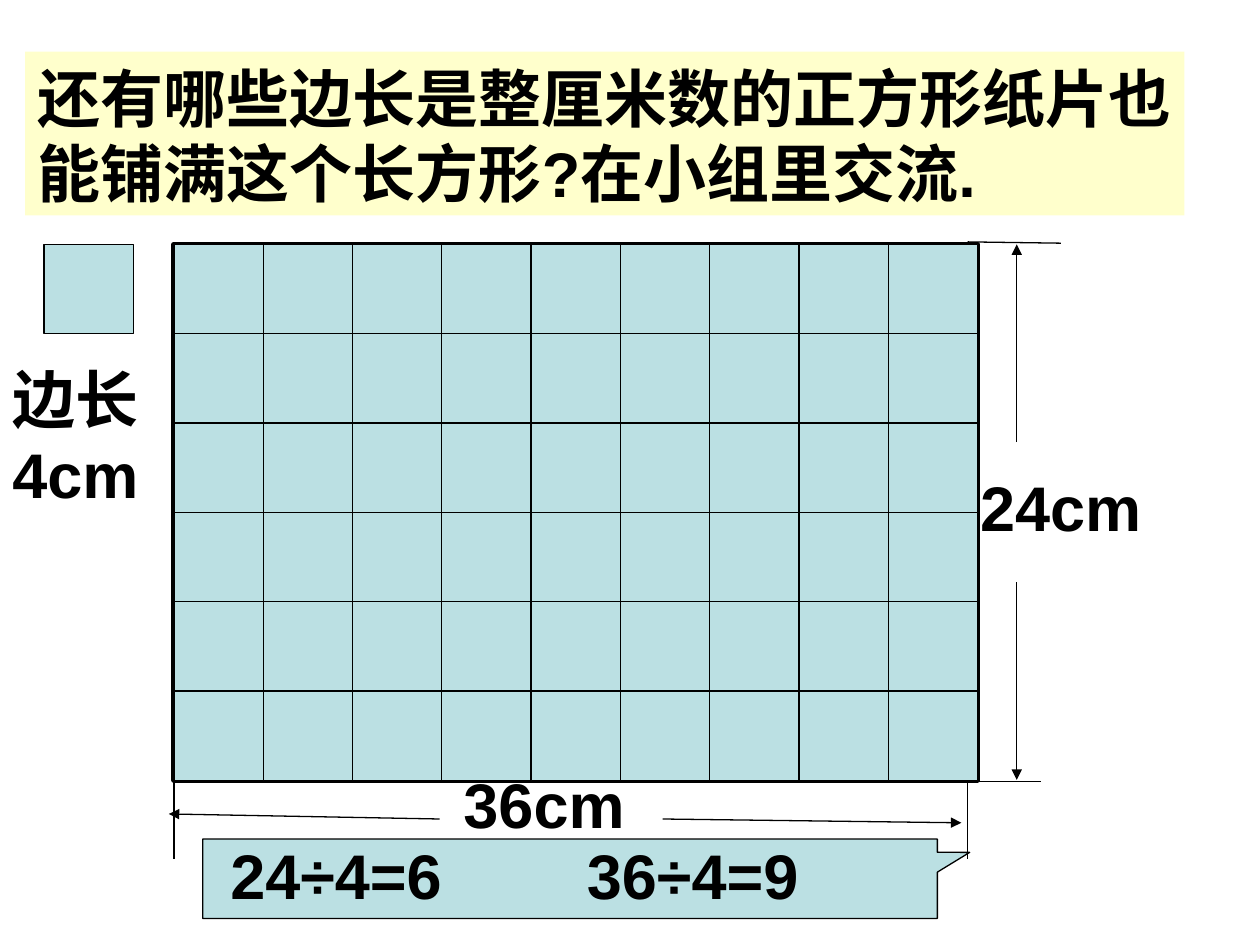
from dataclasses import dataclass
from itertools import product

from lxml.etree import SubElement
from pptx import Presentation
from pptx.dml.color import RGBColor
from pptx.enum.shapes import MSO_CONNECTOR as Connector, MSO_SHAPE as Shape
from pptx.enum.text import MSO_ANCHOR as Anchor, MSO_AUTO_SIZE as AutoSize, PP_ALIGN as Align
from pptx.oxml.ns import qn
from pptx.util import Inches, Pt


@dataclass(frozen=True)
class Theme:
    """Colours, font and sizes used on the slide."""
    ink: RGBColor = RGBColor(0x00, 0x00, 0x00)
    tile: RGBColor = RGBColor(0xBB, 0xE0, 0xE3)
    banner: RGBColor = RGBColor(0xFF, 0xFF, 0xCC)
    font: str = "Arial"
    text_size: Pt = Pt(36)
    thin: Pt = Pt(0.75)
    thick: Pt = Pt(3)


THEME = Theme()
COLUMNS, ROWS = 9, 6
GRID_LEFT, GRID_TOP = 1.38, 1.94
GRID_WIDTH, GRID_HEIGHT = 6.38, 4.25
TILE = GRID_WIDTH / COLUMNS

GUIDES = [
    ((7.68, 1.92), (8.42, 1.93)),
    ((7.7, 6.2), (8.26, 6.2)),
    ((1.38, 6.19), (1.38, 6.82)),
    ((7.68, 6.19), (7.68, 6.82)),
]
ARROWS = [
    ((3.49, 6.5), (1.34, 6.46)),
    ((5.26, 6.5), (7.63, 6.53)),
    ((8.07, 3.51), (8.07, 1.94)),
    ((8.07, 4.62), (8.07, 6.19)),
]
LABELS = [
    ("36cm", (3.58, 6.03, 1.48, 0.7)),
    ("24cm", (7.68, 3.67, 1.48, 0.7)),
    ("24÷4=6", (1.73, 6.59, 1.88, 0.7)),
    ("36÷4=9", (4.56, 6.59, 1.88, 0.7)),
    ("边长\n4cm", (0, 2.81, 1.2, 1.3)),
]


def write_text(box, text):
    """Put bold, left-aligned text into a box that does not wrap."""
    frame = box.text_frame
    frame.text = text
    frame.word_wrap = False
    frame.auto_size = AutoSize.SHAPE_TO_FIT_TEXT
    frame.vertical_anchor = Anchor.TOP
    for para in frame.paragraphs:
        para.alignment = Align.LEFT
        for span in para.runs:
            span.font.name = THEME.font
            span.font.size = THEME.text_size
            span.font.bold = True
            span.font.color.rgb = THEME.ink


def add_title(page, text, left, top, width, height):
    """Move the title placeholder and fill it as a banner with room for a full line."""
    title = page.shapes.title
    title.left, title.top = Inches(left), Inches(top)
    title.width, title.height = Inches(width), Inches(height)
    title.fill.solid()
    title.fill.fore_color.rgb = THEME.banner
    write_text(title, text)
    title.text_frame.margin_top = Inches(0.06)
    title.text_frame.margin_right = 0
    title.text_frame.auto_size = AutoSize.NONE


def add_label(page, text, bounds):
    """Add a text box."""
    box = page.shapes.add_textbox(*map(Inches, bounds))
    write_text(box, text)


def add_figure(page, bounds, kind=Shape.RECTANGLE, fill=THEME.tile, weight=THEME.thin):
    """Add an outlined shape, filled unless fill is None."""
    figure = page.shapes.add_shape(kind, *map(Inches, bounds))
    figure.shadow.inherit = False
    if fill is None:
        figure.fill.background()
    else:
        figure.fill.solid()
        figure.fill.fore_color.rgb = fill
    figure.line.color.rgb = THEME.ink
    figure.line.width = weight
    return figure


def add_line(page, start, end, arrow=False):
    """Add a thin straight line, with an arrowhead at its end if asked."""
    line = page.shapes.add_connector(Connector.STRAIGHT, *map(Inches, start + end))
    line.line.color.rgb = THEME.ink
    line.line.width = THEME.thin
    if arrow:
        SubElement(line.line._get_or_add_ln(), qn("a:tailEnd"), type="triangle")
    SubElement(line._element.spPr, qn("a:effectLst"))


def add_grid(page):
    """Tile the rectangle with equal squares."""
    for column, row in product(range(COLUMNS), range(ROWS)):
        add_figure(page, (GRID_LEFT + column * TILE, GRID_TOP + row * TILE, TILE, TILE))


def main():
    """Build the slide and save the deck."""
    deck = Presentation()
    deck.slide_width, deck.slide_height = Inches(10), Inches(7.5)
    page = deck.slides.add_slide(deck.slide_layouts[5])

    add_title(page, "还有哪些边长是整厘米数的正方形纸片也\n能铺满这个长方形?在小组里交流.", 0.2, 0.41, 9.2, 1.3)
    callout = add_figure(page, (1.61, 6.66, 5.83, 0.63), Shape.RECTANGULAR_CALLOUT)
    callout.adjustments[0] = 0.544
    callout.adjustments[1] = -0.332
    add_figure(page, (GRID_LEFT, GRID_TOP, GRID_WIDTH, GRID_HEIGHT), fill=None, weight=THEME.thick)
    for start, end in GUIDES:
        add_line(page, start, end)
    for start, end in ARROWS:
        add_line(page, start, end, arrow=True)
    add_grid(page)
    add_figure(page, (0.35, GRID_TOP, TILE, TILE))
    for text, bounds in LABELS:
        add_label(page, text, bounds)

    deck.save("out.pptx")


if __name__ == "__main__":
    main()
